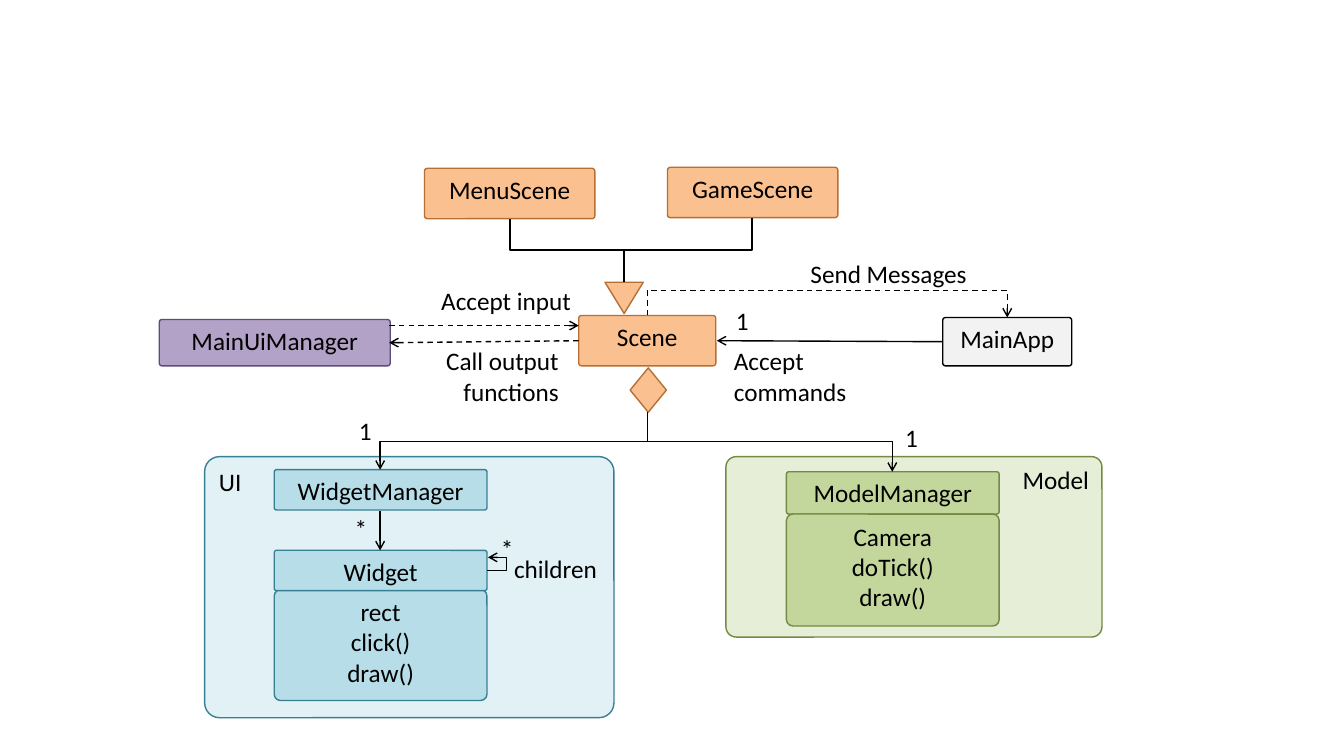
from lxml import etree
from pptx import Presentation
from pptx.dml.color import RGBColor
from pptx.enum.dml import MSO_LINE
from pptx.enum.shapes import MSO_CONNECTOR, MSO_SHAPE
from pptx.enum.text import MSO_ANCHOR, PP_ALIGN
from pptx.oxml.ns import qn
from pptx.util import Inches, Pt

BLACK = RGBColor(0x00, 0x00, 0x00)
ORANGE = (RGBColor(0xFA, 0xC0, 0x90), RGBColor(0xB7, 0x6F, 0x34))
PURPLE = (RGBColor(0xB3, 0xA2, 0xC7), RGBColor(0x5F, 0x4A, 0x78))
GRAY = (RGBColor(0xF2, 0xF2, 0xF2), BLACK)
BLUE = (RGBColor(0xB7, 0xDE, 0xE8), RGBColor(0x37, 0x7F, 0x92))
GREEN = (RGBColor(0xC3, 0xD6, 0x9B), RGBColor(0x73, 0x8A, 0x42))
LEFT, CENTER, RIGHT = PP_ALIGN.LEFT, PP_ALIGN.CENTER, PP_ALIGN.RIGHT

PANELS = [
    ("Model", (7.2, 4.53, 3.73, 1.79), GREEN, RIGHT),
    ("UI", (2.03, 4.53, 4.06, 2.59), BLUE, LEFT),
]
BOXES = [
    ("MenuScene", (4.21, 1.67, 1.69, 0.5), ORANGE),
    ("GameScene", (6.62, 1.66, 1.69, 0.5), ORANGE),
    ("Scene", (5.74, 3.13, 1.36, 0.5), ORANGE),
    ("MainUiManager", (1.58, 3.17, 2.29, 0.46), PURPLE),
    ("MainApp", (9.35, 3.15, 1.28, 0.48), GRAY),
    ("rect\nclick()\ndraw()", (2.72, 5.85, 2.11, 1.1), BLUE),
    ("Widget", (2.72, 5.46, 2.11, 0.4), BLUE),
    ("WidgetManager", (2.72, 4.66, 2.11, 0.4), BLUE),
    ("ModelManager", (7.8, 4.68, 2.11, 0.42), GREEN),
    ("Camera\ndoTick()\ndraw()", (7.8, 5.1, 2.11, 1.11), GREEN),
]
SYMBOLS = [
    (MSO_SHAPE.DIAMOND, (6.25, 3.65, 0.36, 0.44), 0),
    (MSO_SHAPE.ISOSCELES_TRIANGLE, (6, 2.8, 0.38, 0.31), 180),
]
LABELS = [
    ("Accept commands", (7.18, 3.38, 1.48, 0.71), LEFT),
    ("Call output functions", (3.97, 3.38, 1.67, 0.71), RIGHT),
    ("Accept input", (3.97, 2.78, 1.79, 0.4), RIGHT),
    ("Send Messages", (7.94, 2.51, 2.2, 0.4), LEFT),
    ("children", (5, 5.44, 1.15, 0.4), LEFT),
    ("1", (7.2, 2.98, 0.41, 0.4), LEFT),
    ("1", (8.88, 4.14, 0.3, 0.4), LEFT),
    ("1", (3.46, 4.07, 0.41, 0.4), LEFT),
    ("*", (3.42, 5.04, 0.3, 0.4), LEFT),
    ("*", (4.87, 5.24, 0.3, 0.4), LEFT),
]
STRAIGHT = [
    ((9.35, 3.39), (7.11, 3.38), False),
    ((5.74, 3.38), (3.86, 3.4), True),
    ((3.86, 3.23), (5.74, 3.23), True),
    ((3.77, 5.07), (3.77, 5.46), False),
]
VERTICAL_ELBOWS = [
    ((6.42, 4.09), (8.85, 4.68), 4.38, False, True),
    ((6.42, 4.09), (3.77, 4.66), 4.38, False, True),
    ((6.42, 3.13), (9.99, 3.15), 2.88, True, True),
    ((7.46, 2.16), (6.19, 2.8), 2.48, False, False),
    ((5.06, 2.17), (6.19, 2.8), 2.48, False, False),
]
CHILDREN_LOOP = ((4.83, 5.66), (4.84, 5.53), 5.03)


def write(tf, text, align):
    tf.word_wrap = True
    tf.vertical_anchor = MSO_ANCHOR.TOP
    for i, line in enumerate(text.split("\n")):
        p = tf.add_paragraph() if i else tf.paragraphs[0]
        p.alignment = align
        r = p.add_run()
        r.text = line
        r.font.name = "Calibri"
        r.font.size = Pt(18)
        r.font.color.rgb = BLACK


def add_shape(slide, kind, at, colors):
    sp = slide.shapes.add_shape(kind, *map(Inches, at))
    sp.shadow.inherit = False
    sp.fill.solid()
    sp.fill.fore_color.rgb, sp.line.color.rgb = colors
    sp.line.width = Pt(1)
    return sp


def add_box(slide, text, at, colors, align=CENTER):
    sp = add_shape(slide, MSO_SHAPE.ROUNDED_RECTANGLE, at, colors)
    sp.adjustments[0] = 0.057
    write(sp.text_frame, text, align)
    return sp


def add_line(slide, kind, start, end, dashed=False, arrow=True):
    cn = slide.shapes.add_connector(kind, *map(Inches, start + end))
    cn.line.color.rgb = BLACK
    cn.line.width = Pt(1)
    if dashed:
        cn.line.dash_style = MSO_LINE.DASH
    if arrow:
        etree.SubElement(cn.line._get_or_add_ln(), qn("a:tailEnd"), type="arrow")
    etree.SubElement(cn._element.spPr, qn("a:effectLst"))
    return cn


def set_bend(cn, share):
    guides = cn._element.spPr.find(qn("a:prstGeom")).get_or_add_avLst()
    etree.SubElement(guides, qn("a:gd"), name="adj1", fmla=f"val {round(share * 100000)}")


def add_vertical_elbow(slide, start, end, bend, dashed, arrow):
    (x1, y1), (x2, y2) = start, end
    cx, cy, dx, dy = (x1 + x2) / 2, (y1 + y2) / 2, x2 - x1, y2 - y1
    turn = -1 if dx > 0 else 1
    a, b = turn * dy / 2, turn * dx / 2
    cn = add_line(slide, MSO_CONNECTOR.ELBOW, (cx - a, cy + b), (cx + a, cy - b), dashed, arrow)
    cn._element.spPr.find(qn("a:xfrm")).set("rot", str(turn * 90 % 360 * 60000))
    set_bend(cn, (bend - y1) / dy)


def main():
    """Build the scene class diagram slide."""
    prs = Presentation()
    prs.slide_width, prs.slide_height = Inches(13.33), Inches(7.5)
    slide = prs.slides.add_slide(prs.slide_layouts[6])
    for panel in PANELS:
        sp = add_box(slide, *panel)
        color = sp._element.spPr.find(qn("a:solidFill"))[0]
        etree.SubElement(color, qn("a:alpha"), val="40000")
    for box in BOXES:
        add_box(slide, *box)
    for kind, at, rotation in SYMBOLS:
        add_shape(slide, kind, at, ORANGE).rotation = rotation
    for start, end, dashed in STRAIGHT:
        add_line(slide, MSO_CONNECTOR.STRAIGHT, start, end, dashed)
    for elbow in VERTICAL_ELBOWS:
        add_vertical_elbow(slide, *elbow)
    start, end, bend = CHILDREN_LOOP
    loop = add_line(slide, MSO_CONNECTOR.ELBOW, start, end)
    set_bend(loop, (bend - start[0]) / (end[0] - start[0]))
    for text, at, align in LABELS:
        write(slide.shapes.add_textbox(*map(Inches, at)).text_frame, text, align)
    prs.save("out.pptx")


if __name__ == "__main__":
    main()
